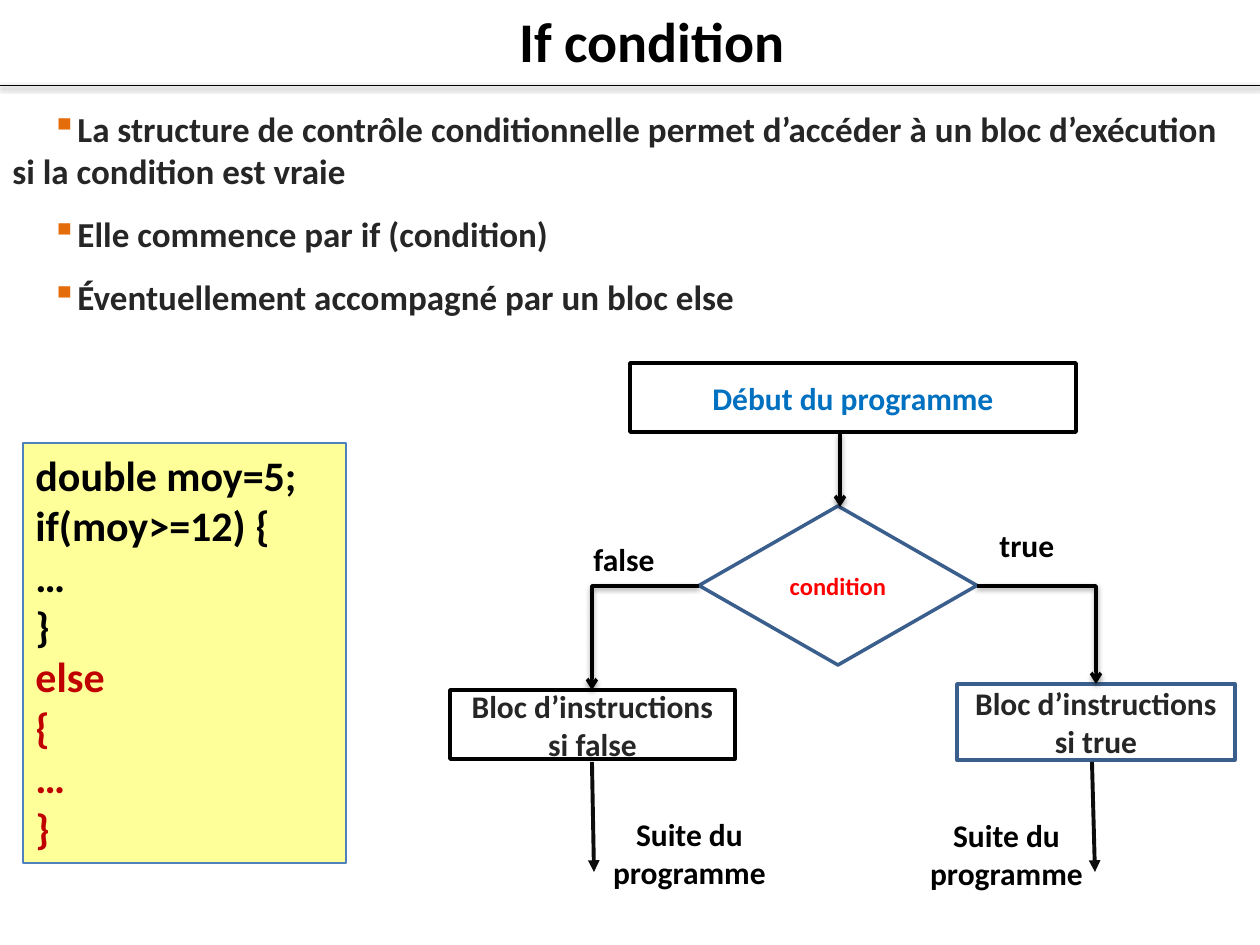
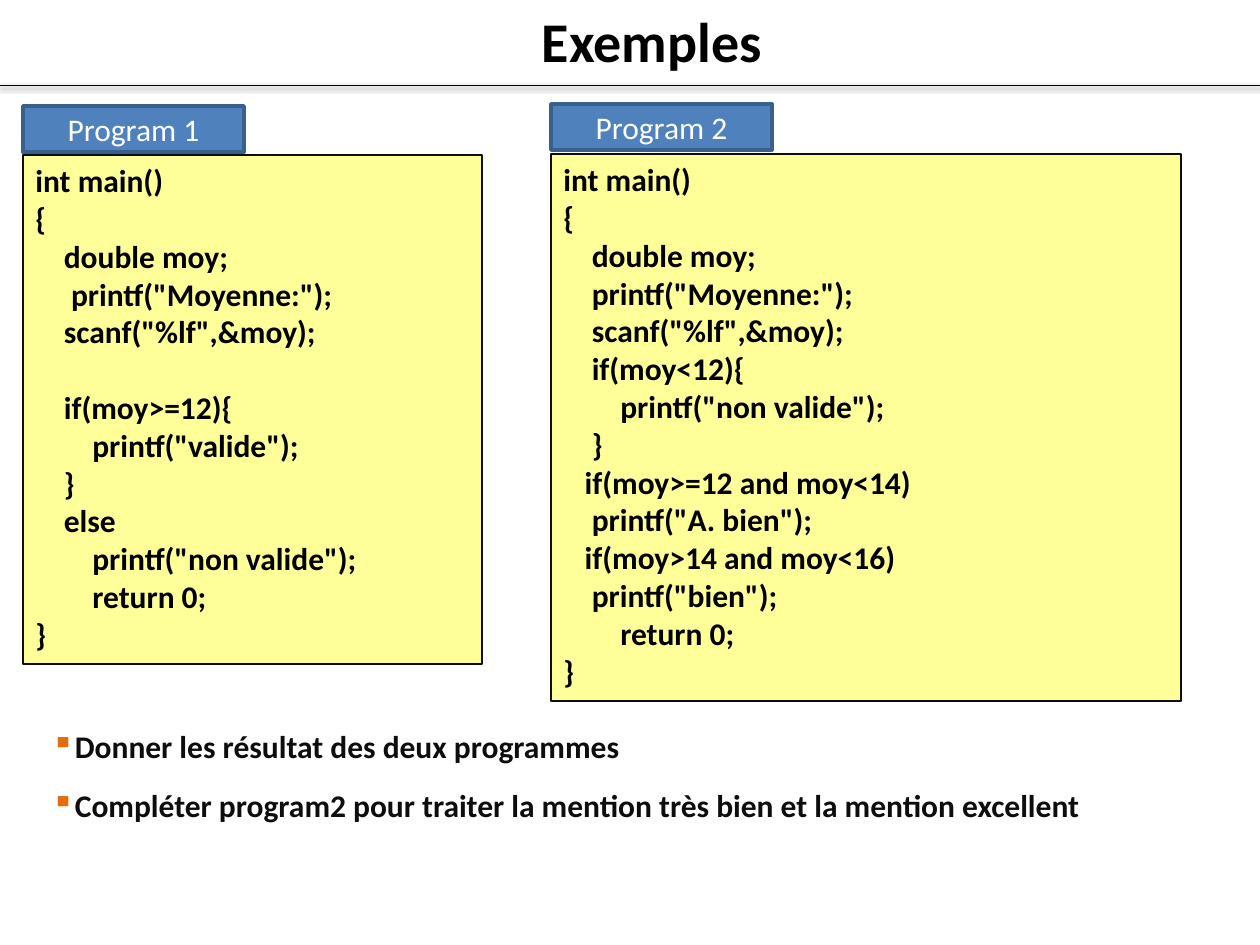
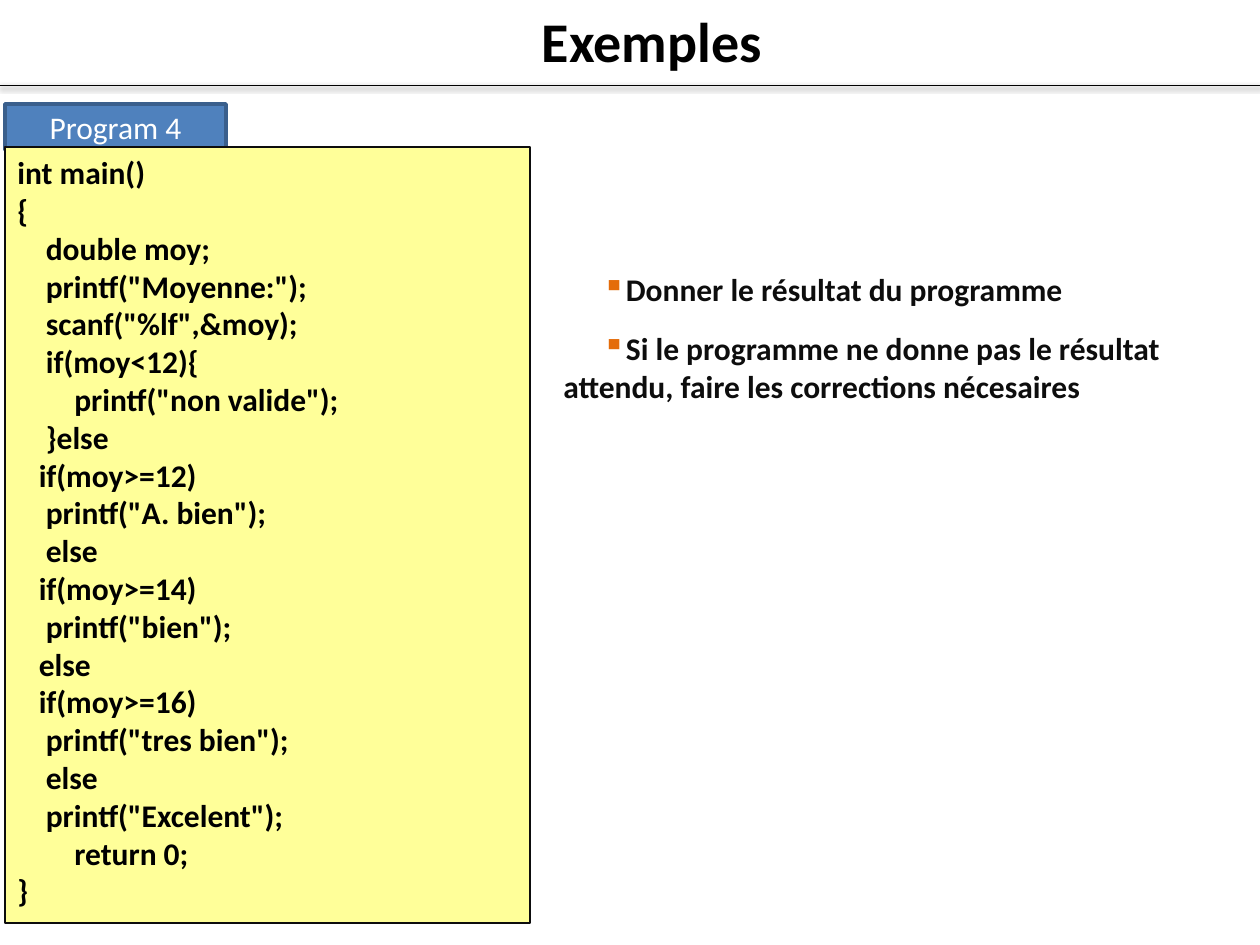
import dataclasses

import lxml.etree
import pptx
import pptx.dml.color
import pptx.enum.shapes
import pptx.enum.text
import pptx.oxml.ns
import pptx.util

SHAPES = pptx.enum.shapes.MSO_SHAPE
CONNECTORS = pptx.enum.shapes.MSO_CONNECTOR
ALIGN = pptx.enum.text.PP_ALIGN
ANCHOR = pptx.enum.text.MSO_ANCHOR
AUTO_SIZE = pptx.enum.text.MSO_AUTO_SIZE

EMU_PER_PIXEL = 914400 / 126
WIDTH, HEIGHT = 1260, 945


@dataclasses.dataclass(frozen=True)
class Theme:
    font: str = "Calibri"
    black: str = "000000"
    ink: str = "0D0D0D"
    grey: str = "262626"
    white: str = "FFFFFF"
    red: str = "FF0000"
    dark_red: str = "C00000"
    text_blue: str = "0070C0"
    blue: str = "4F81BD"
    dark_blue: str = "3A5F8C"
    yellow: str = "FFFF99"
    orange: str = "E46C0A"
    title_size: float = 32
    code_size: float = 24
    lead_size: float = 20
    body_size: float = 18
    small_size: float = 14
    bullet_indent: int = 39       # pixels
    space_width: float = 0.226    # of the type size
    line_height: float = 1.2      # of the type size


def emu(pixels):
    return pptx.util.Emu(round(pixels * EMU_PER_PIXEL))


def color(value):
    return pptx.dml.color.RGBColor.from_string(value)


def add_xml(parent, tag, **attributes):
    element = lxml.etree.SubElement(parent, pptx.oxml.ns.qn(tag))
    for name, value in attributes.items():
        element.set(name, str(value))
    return element


class Deck:
    def __init__(self, theme):
        self.theme = theme
        self.presentation = pptx.Presentation()
        self.presentation.slide_width = emu(WIDTH)
        self.presentation.slide_height = emu(HEIGHT)
        self.slide = None

    # Slide with its title and header rule
    def add_slide(self, title):
        layout = self.presentation.slide_layouts[5]
        self.slide = self.presentation.slides.add_slide(layout)
        shape = self.slide.shapes.title
        shape.left, shape.top, shape.width, shape.height = map(emu, (44, 0, 1216, 81))
        frame = self.prepare_frame(shape, ANCHOR.TOP, grow=True)
        self.add_run(frame.paragraphs[0], title, self.theme.title_size,
                     self.theme.black, align=ALIGN.CENTER)
        self.line((0, 85), (WIDTH, 85), self.theme.black, 0.5, shadow=True)

    # Text helpers
    def prepare_frame(self, shape, anchor, grow=False):
        frame = shape.text_frame
        frame.word_wrap = True
        frame.vertical_anchor = anchor
        frame.auto_size = AUTO_SIZE.SHAPE_TO_FIT_TEXT if grow else AUTO_SIZE.NONE
        return frame

    def add_run(self, paragraph, text, size, ink, align=ALIGN.LEFT, bold=True):
        paragraph.alignment = align
        run = paragraph.add_run()
        run.text = text
        run.font.name = self.theme.font
        run.font.size = pptx.util.Pt(size)
        run.font.bold = bold
        run.font.color.rgb = color(ink)

    def next_paragraph(self, frame, index):
        return frame.add_paragraph() if index else frame.paragraphs[0]

    def add_text_box(self, box):
        shape = self.slide.shapes.add_textbox(*map(emu, box))
        return self.prepare_frame(shape, ANCHOR.TOP, grow=True)

    def label(self, box, text, align=ALIGN.LEFT):
        frame = self.add_text_box(box)
        self.add_run(frame.paragraphs[0], text, self.theme.body_size,
                     self.theme.black, align)

    def bullets(self, box, items, size, ink):
        frame = self.add_text_box(box)
        for index, item in enumerate(items):
            paragraph = self.next_paragraph(frame, index)
            self.add_run(paragraph, item, size, ink)
            paragraph.space_after = pptx.util.Pt(12)
            properties = paragraph._p.get_or_add_pPr()
            properties.set("marL", "0")
            properties.set("indent", str(emu(self.theme.bullet_indent)))
            add_xml(add_xml(properties, "a:buClr"), "a:srgbClr", val=self.theme.orange)
            add_xml(properties, "a:buChar", char="▪")

    # Shapes
    def add_shape(self, kind, box, fill, outline, line_width):
        shape = self.slide.shapes.add_shape(kind, *map(emu, box))
        shape.shadow.inherit = False
        if fill:
            shape.fill.solid()
            shape.fill.fore_color.rgb = color(fill)
        else:
            shape.fill.background()
        shape.line.color.rgb = color(outline)
        shape.line.width = pptx.util.Pt(line_width)
        return shape

    def node(self, box, text, ink, outline, fill=None, kind=SHAPES.RECTANGLE,
             size=None, bold=True):
        shape = self.add_shape(kind, box, fill, outline, 2)
        frame = self.prepare_frame(shape, ANCHOR.MIDDLE)
        self.add_run(frame.paragraphs[0], text, size or self.theme.body_size, ink,
                     ALIGN.CENTER, bold)

    def code(self, box, sections, size, outline):
        """Sections are (ink, source) pairs; leading spaces become indents."""
        shape = self.add_shape(SHAPES.RECTANGLE, box, self.theme.yellow, outline, 0.75)
        frame = self.prepare_frame(shape, ANCHOR.TOP, grow=True)
        lines = [(ink, line) for ink, source in sections
                 for line in source.strip().split("\n")]
        gap = 0
        for index, (ink, line) in enumerate(lines):
            text = line.lstrip()
            if not text:
                gap += size * self.theme.line_height
                continue
            paragraph = self.next_paragraph(frame, index)
            self.add_run(paragraph, text, size, ink)
            indent = (len(line) - len(text)) * size * self.theme.space_width
            paragraph._p.get_or_add_pPr().set("marL", str(int(pptx.util.Pt(indent))))
            if gap:
                paragraph.space_before = pptx.util.Pt(gap)
                gap = 0

    def program(self, name, tab_origin, code_box, source):
        self.node((*tab_origin, 221, 46), name, self.theme.white,
                  self.theme.dark_blue, self.theme.blue, bold=False)
        self.code(code_box, [(self.theme.black, source)],
                  self.theme.body_size, self.theme.ink)

    # Lines and arrows
    def line(self, start, end, ink, width, head=None, shadow=False, bent=False):
        kind = CONNECTORS.ELBOW if bent else CONNECTORS.STRAIGHT
        connector = self.slide.shapes.add_connector(kind, *map(emu, (*start, *end)))
        connector.line.color.rgb = color(ink)
        connector.line.width = pptx.util.Pt(width)
        properties = connector._element.spPr
        if bent:
            properties.find(pptx.oxml.ns.qn("a:prstGeom")).set("prst", "bentConnector2")
        if head:
            add_xml(connector.line._get_or_add_ln(), "a:tailEnd", type=head)
        effects = add_xml(properties, "a:effectLst")
        if shadow:
            outer = add_xml(effects, "a:outerShdw", blurRad=40000, dist=20000,
                            dir=5400000, rotWithShape=0)
            shade = add_xml(outer, "a:srgbClr", val=self.theme.black)
            add_xml(shade, "a:alpha", val=38000)

    def flow(self, start, end, bent=False):
        self.line(start, end, self.theme.black, 2, "arrow", shadow=True, bent=bent)

    def exit_arrow(self, start, end):
        self.line(start, end, self.theme.ink, 2.25, "triangle")


IF_PART = """
double moy=5;
if(moy>=12) {
…
}
"""

ELSE_PART = """
else
{
…
}
"""

PROGRAM_1 = """
int main()
{
    double moy;
     printf("Moyenne:");
    scanf("%lf",&moy);

    if(moy>=12){
        printf("valide");
    }
    else
        printf("non valide");
        return 0;
}
"""

# Opening lines common to programs 2 and 4
OPENING = """
int main()
{
    double moy;
    printf("Moyenne:");
    scanf("%lf",&moy);
    if(moy<12){
        printf("non valide");
"""

PROGRAM_2 = OPENING + """    }
   if(moy>=12 and moy<14)
    printf("A. bien");
   if(moy>14 and moy<16)
    printf("bien");
        return 0;
}
"""

PROGRAM_4 = OPENING + """    }else
   if(moy>=12)
    printf("A. bien");
    else
   if(moy>=14)
    printf("bien");
   else
   if(moy>=16)
    printf("tres bien");
    else
    printf("Excelent");
        return 0;
}
"""

theme = Theme()
deck = Deck(theme)

# Slide 1: the if condition and its flowchart
deck.add_slide("If condition")
deck.bullets((0, 101, WIDTH, 224), [
    "La structure de contrôle conditionnelle permet d’accéder à un bloc "
    "d’exécution si la condition est vraie",
    "Elle commence par if (condition)",
    "Éventuellement accompagné par un bloc else",
], theme.lead_size, theme.grey)

deck.node((630, 363, 446, 69), "Début du programme", theme.text_blue,
          theme.black, theme.white)
deck.node((699, 506, 278, 159), "condition", theme.red, theme.dark_blue,
          kind=SHAPES.DIAMOND, size=theme.small_size)
deck.node((450, 690, 285, 69), "Bloc d’instructions si false", theme.grey,
          theme.black, theme.white)
deck.node((957, 684, 278, 76), "Bloc d’instructions si true", theme.grey,
          theme.dark_blue, theme.white)

deck.flow((840, 433), (840, 507))
deck.flow((977, 586), (1096, 684), bent=True)
deck.flow((699, 586), (592, 690), bent=True)
deck.exit_arrow((592, 762), (594, 872))
deck.exit_arrow((1092, 762), (1095, 872))

deck.label((987, 520, 139, 50), "true")
deck.label((581, 534, 139, 50), "false")
for left, top in ((600, 809), (917, 810)):
    deck.label((left, top, 179, 89), "Suite du programme", ALIGN.CENTER)

deck.code((23, 443, 323, 420), [(theme.black, IF_PART), (theme.dark_red, ELSE_PART)],
          theme.code_size, theme.blue)

# Slide 2: two programs side by side
deck.add_slide("Exemples")
deck.program("Program 1", (23, 106), (23, 155, 459, 509), PROGRAM_1)
deck.program("Program 2", (551, 104), (551, 154, 630, 547), PROGRAM_2)
deck.bullets((0, 721, WIDTH, 111), [
    "Donner les résultat des deux programmes",
    "Compléter program2 pour traiter la mention très bien et la mention excellent",
], theme.body_size, theme.ink)

# Slide 3: one program to correct
deck.add_slide("Exemples")
deck.program("Program 4", (5, 104), (5, 147, 525, 776), PROGRAM_4)
deck.bullets((551, 264, 709, 149), [
    "Donner le résultat du programme",
    "Si le programme ne donne pas le résultat attendu, "
    "faire les corrections nécesaires",
], theme.body_size, theme.ink)

deck.presentation.save("out.pptx")
